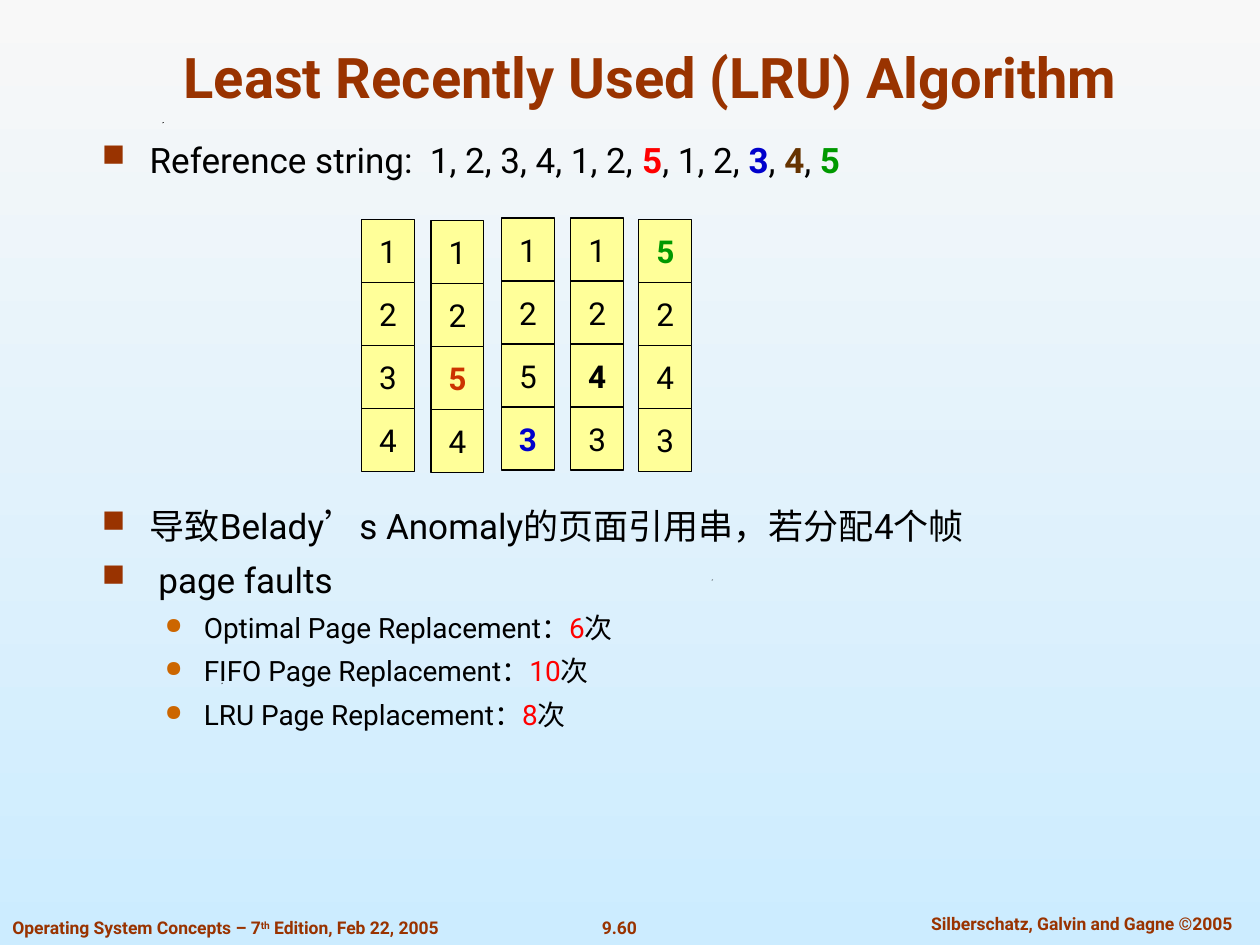
from dataclasses import dataclass
from lxml.etree import SubElement
from pptx import Presentation
from pptx.dml.color import RGBColor
from pptx.enum.shapes import MSO_SHAPE
from pptx.enum.text import MSO_ANCHOR, PP_ALIGN
from pptx.oxml.ns import qn
from pptx.util import Inches, Pt


@dataclass(frozen=True)
class Theme:
    """Colours, type sizes and font of the slide."""
    font: str = "Roboto"
    rust: str = "993300"
    ink: str = "000000"
    red: str = "FF0000"
    blue: str = "0000CC"
    brown: str = "663300"
    green: str = "009900"
    brick: str = "CC3300"
    orange: str = "CC6600"
    cell: str = "FFFF99"
    top: str = "F8F8F8"
    base: str = "CCECFF"
    title: int = 32
    body: int = 20
    digit: int = 18
    sub: int = 16
    foot: int = 10


T = Theme()
LEVELS = {
    0: dict(size=T.body, left=0.38, hang=0.38, mark="■", tint=T.rust, scale=90),
    1: dict(size=T.sub, left=0.81, hang=0.31, mark="●", tint=T.orange, scale=80),
}


def assign(item, **values):
    """Set each named attribute of an object."""
    for name, value in values.items():
        setattr(item, name, value)


def write(para, parts, size, color=T.ink, bold=False):
    """Add runs given as (text, format) pairs to a paragraph."""
    for text, form in parts:
        run = para.add_run()
        run.text = text
        look = dict(color=color, bold=bold) | form
        assign(run.font, name=T.font, size=Pt(size), bold=look["bold"])
        run.font.color.rgb = RGBColor.from_string(look["color"])
        if "raise" in look:
            run._r.get_or_add_rPr().set("baseline", str(look["raise"] * 1000))


def add_text(slide, box, wrap=True, anchor=MSO_ANCHOR.TOP):
    """Add an empty text box and return its frame."""
    frame = slide.shapes.add_textbox(*map(Inches, box)).text_frame
    assign(frame, word_wrap=wrap, vertical_anchor=anchor)
    return frame


def add_bullet(para, left, hang, mark, tint, scale):
    """Give a paragraph a hanging indent and a coloured bullet."""
    props = para._p.get_or_add_pPr()
    props.set("marL", str(Inches(left)))
    props.set("indent", str(-Inches(hang)))
    color = SubElement(props, qn("a:buClr"))
    SubElement(color, qn("a:srgbClr"), val=tint)
    SubElement(props, qn("a:buSzPct"), val=str(scale * 1000))
    SubElement(props, qn("a:buChar"), char=mark)


def add_back(slide):
    """Fill the background with a vertical gradient."""
    fill = slide.background.fill
    fill.gradient()
    fill.gradient_angle = 270
    for stop, color, place in zip(fill.gradient_stops, (T.top, T.base), (0, 1)):
        stop.color.rgb = RGBColor.from_string(color)
        stop.position = place


def add_specks(slide, spots):
    """Draw the tiny black decoration marks."""
    for left, top in spots:
        pen = slide.shapes.build_freeform(Inches(left), Inches(top))
        pen.add_line_segments([(Inches(left + 0.01), Inches(top - 0.01)),
                               (Inches(left), Inches(top - 0.01))])
        speck = pen.convert_to_shape()
        speck.shadow.inherit = False
        speck.fill.solid()
        speck.fill.fore_color.rgb = RGBColor.from_string(T.ink)
        speck.line.fill.background()


def add_title(slide, box, text):
    """Place the centred slide title."""
    para = add_text(slide, box, anchor=MSO_ANCHOR.BOTTOM).paragraphs[0]
    para.alignment = PP_ALIGN.CENTER
    write(para, [(text, {})], T.title, T.rust, True)


def add_footer(slide, box, parts, align, wrap):
    """Place one footer line."""
    para = add_text(slide, box, wrap).paragraphs[0]
    para.alignment = align
    write(para, parts, T.foot, T.rust, True)


def add_body(slide, box, rows):
    """Place the bullet list from (level, space before, runs) rows."""
    frame = add_text(slide, box)
    for index, (level, gap, parts) in enumerate(rows):
        para = frame.add_paragraph() if index else frame.paragraphs[0]
        para.space_before = Pt(gap)
        form = dict(LEVELS[level])
        size = form.pop("size")
        add_bullet(para, **form)
        write(para, parts, size)


def add_frames(slide, box, digits, marks):
    """Stack one column of page frames; marks maps a row to its format."""
    left, top, width, height = box
    step = height / len(digits)
    for row, digit in enumerate(digits):
        place = map(Inches, (left, top + row * step, width, step))
        cell = slide.shapes.add_shape(MSO_SHAPE.RECTANGLE, *place)
        cell.shadow.inherit = False
        cell.fill.solid()
        cell.fill.fore_color.rgb = RGBColor.from_string(T.cell)
        cell.line.color.rgb = RGBColor.from_string(T.ink)
        cell.line.width = Pt(0.75)
        assign(cell.text_frame, word_wrap=False, vertical_anchor=MSO_ANCHOR.MIDDLE)
        para = cell.text_frame.paragraphs[0]
        para.alignment = PP_ALIGN.CENTER
        write(para, [(digit, marks.get(row, {}))], T.digit)


def strong(color):
    """Return the format of a highlighted digit."""
    return dict(color=color, bold=True)


def count(name, number):
    """Return the list row for one algorithm's fault count."""
    parts = [(f"{name} Page Replacement：", {}), (number, dict(color=T.red)), ("次", {})]
    return 1, 5.6, parts


def main():
    """Build and save the slide."""
    deck = Presentation()
    assign(deck, slide_width=Inches(10), slide_height=Inches(7.5))
    slide = deck.slides.add_slide(deck.slide_layouts[6])
    add_back(slide)
    add_specks(slide, [(1.76, 5.43), (1.3, 4.6), (5.65, 4.61), (1.29, 0.98)])
    add_footer(slide, (4.67, 7.23, 0.49, 0.27), [("9.60", {})], PP_ALIGN.CENTER, False)
    add_footer(slide, (7.1, 7.2, 2.97, 0.27),
               [("Silberschatz, Galvin and Gagne ©2005", {})], PP_ALIGN.CENTER, True)
    add_footer(slide, (0, 7.23, 3.78, 0.27),
               [("Operating System Concepts – 7", {}), ("th", {"raise": 30}),
                (" Edition, Feb 22, 2005", {})], PP_ALIGN.LEFT, False)
    add_title(slide, (0.75, 0.25, 8.83, 0.67), "Least Recently Used (LRU) Algorithm")
    add_body(slide, (0.71, 1.05, 8.6, 5.45), [
        (0, 0, [("Reference string:  1, 2, 3, 4, 1, 2, ", {}), ("5", strong(T.red)),
                (", 1, 2, ", {}), ("3", strong(T.blue)), (", ", {}),
                ("4", strong(T.brown)), (", ", {}), ("5", strong(T.green))]),
        (0, 185, [("导致Belady’s Anomaly的页面引用串，若分配4个帧", {})]),
        (0, 7, [(" page faults", {})]),
        count("Optimal", "6"), count("FIFO", "10"), count("LRU", "8"),
    ])
    columns = [
        (2.87, 1.74, "1234", {}),
        (3.42, 1.75, "1254", {2: strong(T.brick)}),
        (3.98, 1.73, "1253", {3: strong(T.blue)}),
        (4.53, 1.73, "1243", {2: strong(T.ink)}),
        (5.07, 1.74, "5243", {0: strong(T.green)}),
    ]
    for left, top, digits, marks in columns:
        add_frames(slide, (left, top, 0.42, 2), digits, marks)
    deck.save("out.pptx")


if __name__ == "__main__":
    main()
